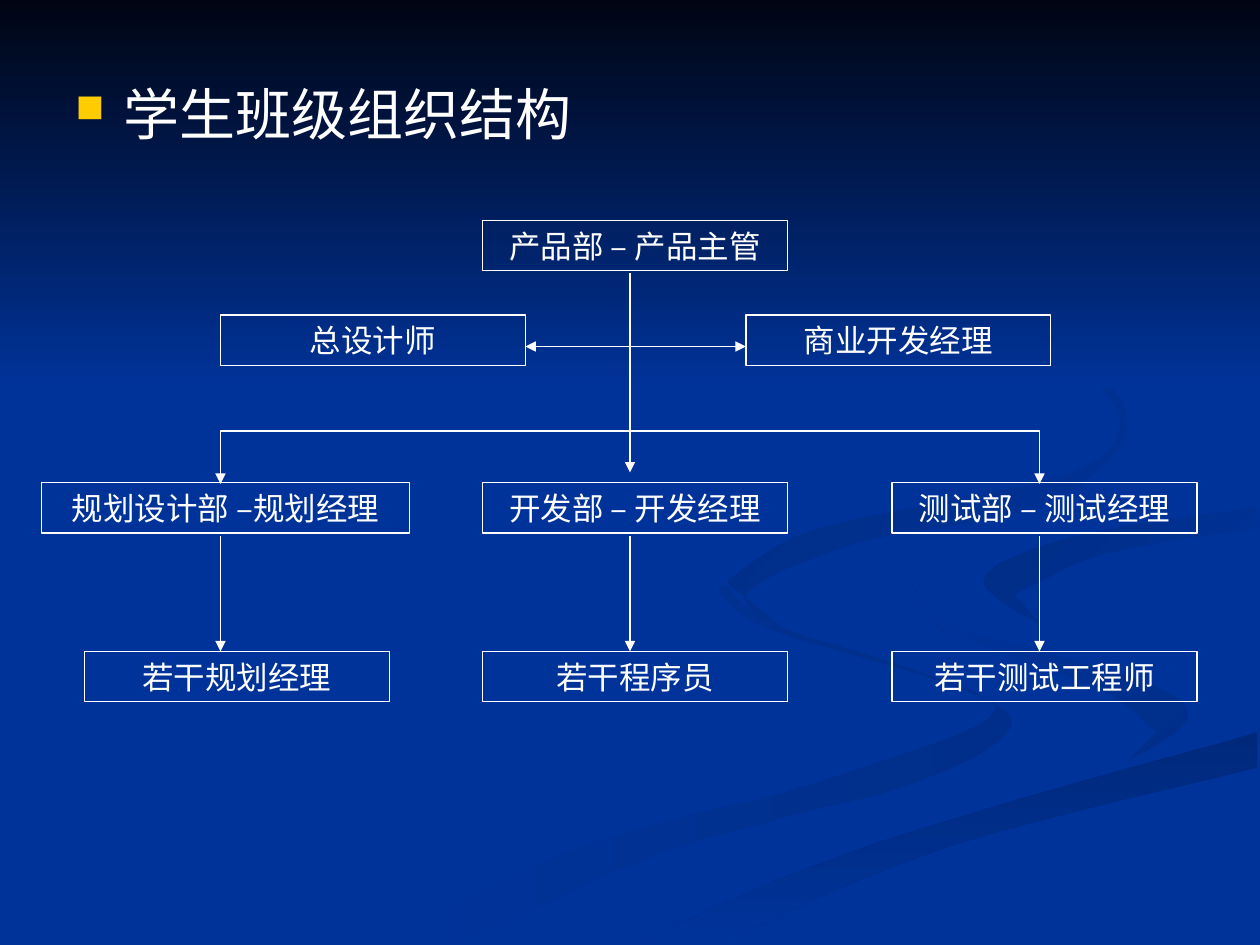
from dataclasses import dataclass

from lxml.etree import SubElement
from pptx import Presentation
from pptx.dml.color import RGBColor
from pptx.enum.shapes import MSO_CONNECTOR, MSO_SHAPE
from pptx.enum.text import MSO_ANCHOR, PP_ALIGN
from pptx.oxml.ns import qn
from pptx.util import Inches, Pt


@dataclass(frozen=True)
class Theme:
    blue: str = "003399"
    night: str = "000514"
    white: str = "FFFFFF"
    gold: str = "FFCC00"
    font: str = "Times New Roman"
    title_size: int = 32
    node_size: int = 18
    line_width: float = 0.75


THEME = Theme()
UNIT = Inches(0.01)

# Start colour, end colour, angle, then the two edges in hundredths of an inch.
RIBBONS = [
    ("002E8A", THEME.blue, 180,
     [(574, 464), (614, 496), (715, 528), (781, 553), (800, 581), (721, 623),
      (532, 674), (361, 749)],
     [(300, 749), (458, 674), (652, 620), (785, 570), (752, 543), (611, 499), (570, 468)]),
    ("002E8A", THEME.blue, 225,
     [(724, 464), (758, 498), (905, 540), (943, 570), (894, 605)],
     [(918, 581), (868, 544), (746, 500)]),
    ("00297C", THEME.blue, 90,
     [(503, 749), (696, 669), (998, 581)],
     [(998, 609), (752, 672), (571, 749)]),
    (THEME.blue, "002C85", 225,
     [(826, 496), (781, 460), (849, 427), (998, 402)],
     [(998, 420), (878, 439), (805, 472)]),
    (THEME.blue, "002B81", 225,
     [(762, 233), (864, 291), (894, 344), (825, 402), (683, 430), (593, 470), (622, 500)],
     [(577, 462), (649, 420), (842, 378), (889, 335), (846, 279)]),
]

COLUMN_GAP = 3.25
AXES = [1.42 + COLUMN_GAP * i for i in range(3)]
NODE_WIDTH, NODE_HEIGHT = 2.42, 0.4
HEAD_ROW, STAFF_ROW, DEPT_ROW, TEAM_ROW = 0, 0.75, 2.08, 3.42
MIDDLE_LEFT = 3.5
RIGHT_LEFT = MIDDLE_LEFT + COLUMN_GAP
STAFF_LEFTS = (1.42, 5.59)

NODES = [
    (MIDDLE_LEFT, HEAD_ROW, NODE_WIDTH, "产品部 – 产品主管"),
    (STAFF_LEFTS[0], STAFF_ROW, NODE_WIDTH, "总设计师"),
    (STAFF_LEFTS[1], STAFF_ROW, NODE_WIDTH, "商业开发经理"),
    (0, DEPT_ROW, NODE_WIDTH + 0.5, "规划设计部 –规划经理"),
    (MIDDLE_LEFT, DEPT_ROW, NODE_WIDTH, "开发部 – 开发经理"),
    (RIGHT_LEFT, DEPT_ROW, NODE_WIDTH, "测试部 – 测试经理"),
    (0.34, TEAM_ROW, NODE_WIDTH, "若干规划经理"),
    (MIDDLE_LEFT, TEAM_ROW, NODE_WIDTH, "若干程序员"),
    (RIGHT_LEFT, TEAM_ROW, NODE_WIDTH, "若干测试工程师"),
]


def rgb(value):
    return RGBColor.from_string(value)


def smooth_edge(points, steps=6):
    """Return a Catmull-Rom curve through the points."""
    padded = [points[0], *points, points[-1]]
    curve = []
    for a, b, c, d in zip(padded, padded[1:], padded[2:], padded[3:]):
        for t in (i / steps for i in range(steps)):
            curve.append(tuple(
                q + t / 2 * (r - p + t * (2 * p - 5 * q + 4 * r - s
                                          + t * (3 * (q - r) + s - p)))
                for p, q, r, s in zip(a, b, c, d)))
    return curve + [points[-1]]


def add_run(p, text, size):
    r = p.add_run()
    r.text = text
    r.font.name = THEME.font
    r.font.size = Pt(size)
    r.font.color.rgb = rgb(THEME.white)


def style_line(line):
    line.color.rgb = rgb(THEME.white)
    line.width = Pt(THEME.line_width)


def add_arrowheads(sp, *ends):
    ln = sp.element.spPr.find(qn("a:ln"))
    for end in ends:
        SubElement(ln, qn(f"a:{end}"), type="triangle")


def add_outline(slide, left, top, points, close):
    builder = slide.shapes.build_freeform(*points[0], scale=UNIT)
    builder.add_line_segments(points[1:], close=close)
    sp = builder.convert_to_shape(Inches(left), Inches(top))
    sp.shadow.inherit = False
    return sp


def fill_gradient(sp, start, end, angle):
    sp.line.fill.background()
    sp.fill.gradient()
    sp.fill.gradient_angle = 360 - angle
    for stop, color in zip(sp.fill.gradient_stops, (start, end)):
        stop.color.rgb = rgb(color)


def add_backdrop(slide, left, top, width):
    slide.background.fill.solid()
    slide.background.fill.fore_color.rgb = rgb(THEME.blue)
    for start, end, angle, *edges in RIBBONS:
        points = [pt for edge in edges for pt in smooth_edge(edge)]
        sp = add_outline(slide, left, top, points, close=True)
        fill_gradient(sp, start, end, angle)
    sky = slide.shapes.add_shape(
        MSO_SHAPE.RECTANGLE, *map(Inches, (left, top, width, 3.08)))
    sky.shadow.inherit = False
    fill_gradient(sky, THEME.night, THEME.blue, 90)


def add_heading(slide, left, top, width, height):
    box = slide.shapes.add_textbox(*map(Inches, (left, top, width, height)))
    box.text_frame.word_wrap = True
    p = box.text_frame.paragraphs[0]
    p.space_before = Pt(8)
    pPr = p._p.get_or_add_pPr()
    indent = Inches(0.38)
    pPr.set("marL", str(indent))
    pPr.set("indent", str(-indent))
    SubElement(SubElement(pPr, qn("a:buClr")), qn("a:srgbClr"), val=THEME.gold)
    SubElement(pPr, qn("a:buSzPct"), val="70000")
    SubElement(pPr, qn("a:buChar"), char="■")
    add_run(p, "学生班级组织结构", THEME.title_size)


def add_node(slide, left, top, width, text):
    sp = slide.shapes.add_shape(
        MSO_SHAPE.RECTANGLE, *map(Inches, (left, top, width, NODE_HEIGHT)))
    sp.shadow.inherit = False
    sp.fill.background()
    style_line(sp.line)
    tf = sp.text_frame
    tf.word_wrap = True
    tf.vertical_anchor = MSO_ANCHOR.MIDDLE
    p = tf.paragraphs[0]
    p.alignment = PP_ALIGN.CENTER
    add_run(p, text, THEME.node_size)


def add_arrow(slide, x1, y1, x2, y2):
    line = slide.shapes.add_connector(
        MSO_CONNECTOR.STRAIGHT, *map(Inches, (x1, y1, x2, y2)))
    style_line(line.line)
    add_arrowheads(line, "tailEnd")
    SubElement(line.element.spPr, qn("a:effectLst"))


def add_org_chart(slide, left, top):
    for x, y, width, text in NODES:
        add_node(slide, left + x, top + y, width, text)
    middle = AXES[1]
    staff_left, staff_right = STAFF_LEFTS
    arrows = [(middle, 0.42, middle, 2)]
    arrows += [(x, 2.5, x, TEAM_ROW) for x in AXES]
    arrows += [(middle, 1, x, 1) for x in (staff_right, staff_left + NODE_WIDTH)]
    for x1, y1, x2, y2 in arrows:
        add_arrow(slide, left + x1, top + y1, left + x2, top + y2)
    span, drop = 200 * COLUMN_GAP, 42
    bracket = add_outline(slide, left + AXES[0], top + 1.67,
                          [(0, drop), (0, 0), (span, 0), (span, drop)], close=False)
    bracket.fill.background()
    style_line(bracket.line)
    add_arrowheads(bracket, "headEnd", "tailEnd")


def main():
    prs = Presentation()
    prs.slide_width, prs.slide_height = Inches(10), Inches(7.5)
    slide = prs.slides.add_slide(prs.slide_layouts[6])
    add_backdrop(slide, 0, 0, 10)
    add_heading(slide, 0.5, 0.58, 9, 6.12)
    add_org_chart(slide, 0.33, 1.75)
    prs.save("out.pptx")


if __name__ == "__main__":
    main()
